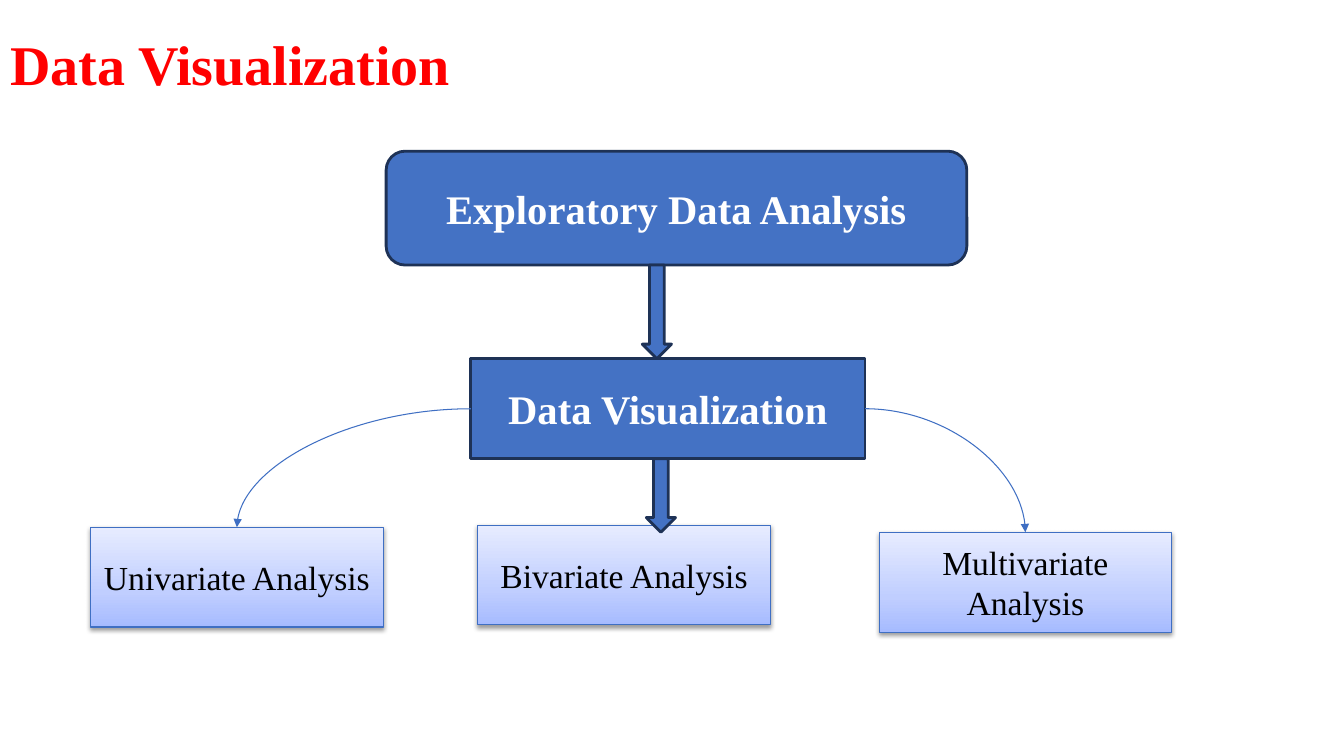
from copy import deepcopy
from dataclasses import dataclass

from pptx import Presentation
from pptx.dml.color import RGBColor
from pptx.enum.shapes import MSO_CONNECTOR, MSO_SHAPE
from pptx.enum.text import MSO_ANCHOR, MSO_AUTO_SIZE, PP_ALIGN
from pptx.oxml import parse_xml
from pptx.oxml.ns import nsdecls, qn
from pptx.shapes.autoshape import Shape
from pptx.slide import Slide
from pptx.text.text import TextFrame
from pptx.util import Emu, Pt

PX = 9144  # 100 px to the inch
FONT = "Times New Roman"
RED = RGBColor(0xFF, 0x00, 0x00)
WHITE = RGBColor(0xFF, 0xFF, 0xFF)
BLACK = RGBColor(0x00, 0x00, 0x00)
BLUE = RGBColor(0x44, 0x72, 0xC4)
NAVY = RGBColor(0x1E, 0x32, 0x56)
MID_BLUE = RGBColor(0x3F, 0x6F, 0xC3)
PALE_STOPS = [
    (0, RGBColor(0xA6, 0xBB, 0xFF)),
    (0.35, RGBColor(0xC0, 0xCE, 0xFF)),
    (1, RGBColor(0xE7, 0xEC, 0xFF)),
]
LEFT_SIDE, RIGHT_SIDE, TOP_SIDE = 1, 3, 0


@dataclass(frozen=True)
class Block:
    kind: MSO_SHAPE
    left: int
    top: int
    width: int
    height: int
    label: str = ""


EXPLORATION = Block(MSO_SHAPE.FLOWCHART_ALTERNATE_PROCESS, 383, 150, 576, 113,
                    "Exploratory Data Analysis")
VISUALIZATION = Block(MSO_SHAPE.FLOWCHART_PROCESS, 467, 356, 391, 99, "Data Visualization")
DOWN_ARROWS = [
    Block(MSO_SHAPE.DOWN_ARROW, 637, 263, 29, 93),
    Block(MSO_SHAPE.DOWN_ARROW, 641, 455, 29, 73),
]
UNIVARIATE, BIVARIATE, MULTIVARIATE = [
    Block(MSO_SHAPE.FLOWCHART_PROCESS, left, top, 290, 99, f"{scope} Analysis")
    for left, top, scope in [
        (90, 523, "Univariate"), (474, 521, "Bivariate"), (872, 528, "Multivariate")]
]


def px(length: int) -> Emu:
    return Emu(length * PX)


def write(frame: TextFrame, text: str, size: int, color: RGBColor,
          bold: bool, align: PP_ALIGN) -> None:
    frame.text = text
    frame.word_wrap = True
    paragraph = frame.paragraphs[0]
    paragraph.alignment = align
    font = paragraph.runs[0].font
    font.name, font.size, font.bold = FONT, Pt(size), bold
    font.color.rgb = color


def add_block(slide: Slide, block: Block, line_color: RGBColor, line_width: float) -> Shape:
    shape = slide.shapes.add_shape(
        block.kind, px(block.left), px(block.top), px(block.width), px(block.height))
    shape.shadow.inherit = False
    shape.line.color.rgb = line_color
    shape.line.width = Pt(line_width)
    shape.text_frame.vertical_anchor = MSO_ANCHOR.MIDDLE
    return shape


def add_solid_block(slide: Slide, block: Block) -> Shape:
    shape = add_block(slide, block, NAVY, 2)
    shape.fill.solid()
    shape.fill.fore_color.rgb = BLUE
    if block.label:
        write(shape.text_frame, block.label, 29, WHITE, True, PP_ALIGN.CENTER)
    return shape


def add_pale_block(slide: Slide, block: Block) -> Shape:
    """Add a box with a three-stop gradient and a soft shadow below it."""
    shape = add_block(slide, block, MID_BLUE, 0.75)
    shape.fill.gradient()
    shape.fill.gradient_angle = 90
    properties = shape.element.spPr
    stop_list = properties.find(".//" + qn("a:gsLst"))
    stop_list.append(deepcopy(stop_list[-1]))
    for stop, (position, color) in zip(shape.fill.gradient_stops, PALE_STOPS):
        stop.position = position
        stop.color.rgb = color
    properties.find(qn("a:effectLst")).append(parse_xml(
        f'<a:outerShdw {nsdecls("a")} blurRad="40000" dist="20000" dir="5400000" '
        'rotWithShape="0"><a:srgbClr val="000000"><a:alpha val="38000"/></a:srgbClr>'
        '</a:outerShdw>'))
    write(shape.text_frame, block.label, 24, BLACK, False, PP_ALIGN.CENTER)
    return shape


def add_curved_arrow(slide: Slide, source: Shape, side: int, target: Shape) -> None:
    """Curve from a side of the source down to the top of the target."""
    start_x = source.left + (source.width if side == RIGHT_SIDE else 0)
    curve = slide.shapes.add_connector(
        MSO_CONNECTOR.CURVE, start_x, source.top + source.height // 2,
        target.left + target.width // 2, target.top)
    curve.begin_connect(source, side)
    curve.end_connect(target, TOP_SIDE)
    curve.line.color.rgb = MID_BLUE
    curve.line.width = Pt(0.75)
    properties = curve.element.spPr
    properties.find(qn("a:prstGeom")).set("prst", "curvedConnector2")
    properties.find(qn("a:ln")).append(
        parse_xml(f'<a:tailEnd {nsdecls("a")} type="triangle"/>'))
    properties.append(parse_xml(f'<a:effectLst {nsdecls("a")}/>'))


def main() -> None:
    deck = Presentation()
    deck.slide_width, deck.slide_height = px(1333), px(750)
    slide = deck.slides.add_slide(deck.slide_layouts[5])

    title = slide.shapes.title
    title.left, title.top, title.width, title.height = px(0), px(24), px(667), px(77)
    write(title.text_frame, "Data Visualization", 40, RED, True, PP_ALIGN.LEFT)
    title.text_frame.vertical_anchor = MSO_ANCHOR.TOP
    title.text_frame.auto_size = MSO_AUTO_SIZE.SHAPE_TO_FIT_TEXT

    add_solid_block(slide, EXPLORATION)
    visualization = add_solid_block(slide, VISUALIZATION)
    univariate = add_pale_block(slide, UNIVARIATE)
    add_pale_block(slide, BIVARIATE)
    multivariate = add_pale_block(slide, MULTIVARIATE)
    for arrow in DOWN_ARROWS:
        add_solid_block(slide, arrow)
    add_curved_arrow(slide, visualization, LEFT_SIDE, univariate)
    add_curved_arrow(slide, visualization, RIGHT_SIDE, multivariate)

    deck.save("out.pptx")


if __name__ == "__main__":
    main()
